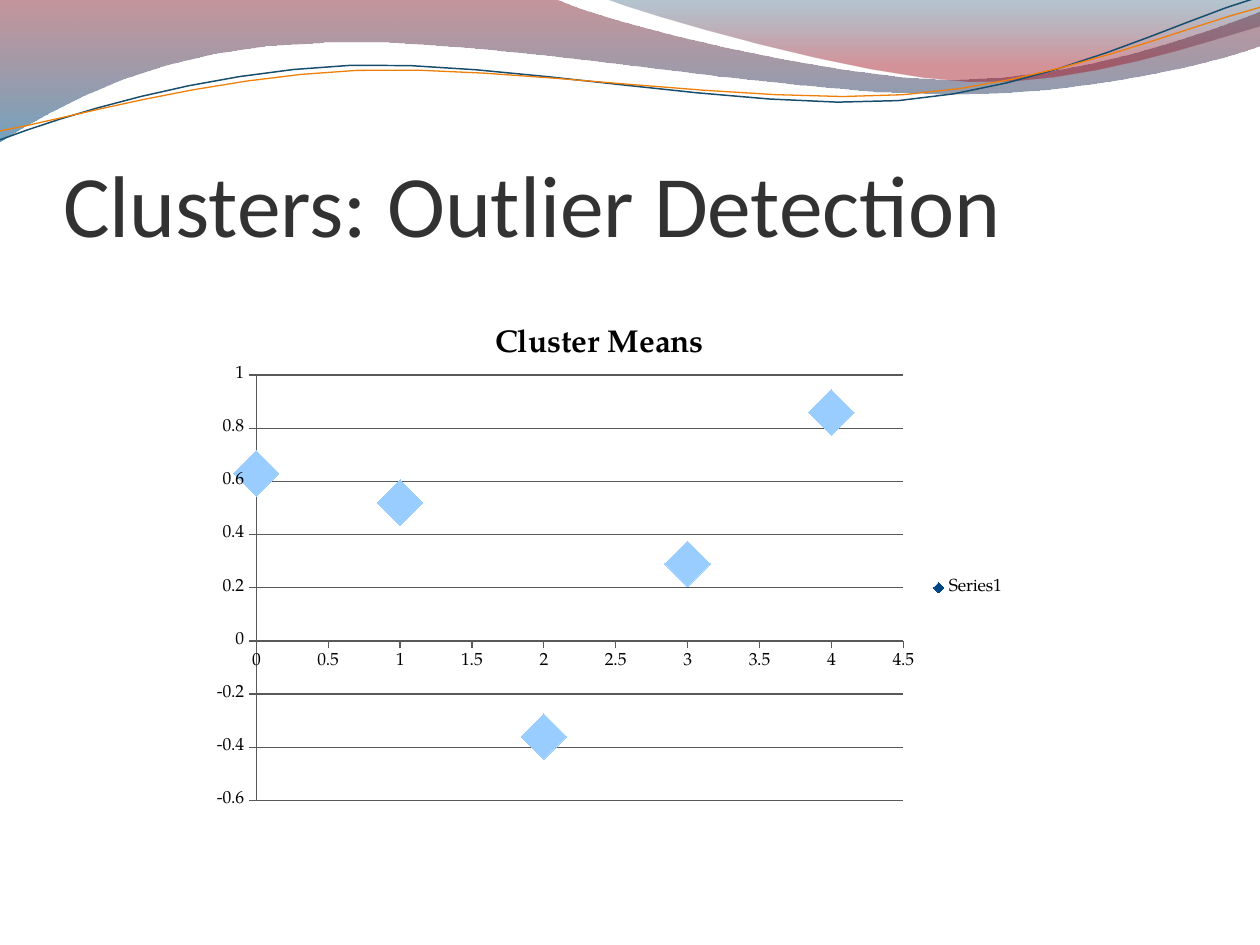
import pptx
import pptx.chart.data
import pptx.dml.color
import pptx.enum.chart
import pptx.enum.text
import pptx.oxml
import pptx.oxml.ns
import pptx.util

Cm = pptx.util.Cm
Pt = pptx.util.Pt
RGBColor = pptx.dml.color.RGBColor

TITLE_GREY = RGBColor(0x32, 0x32, 0x32)
BLACK = RGBColor(0, 0, 0)
AXIS_GREY = RGBColor(0x59, 0x59, 0x59)
MARKER_BLUE = RGBColor(0x99, 0xCC, 0xFF)
SERIES_BLUE = RGBColor(0x00, 0x45, 0x86)
WINE = RGBColor(0x7E, 0x16, 0x21)
OCEAN = RGBColor(0x00, 0x56, 0x89)
NAVY = RGBColor(0x09, 0x44, 0x67)
CRIMSON = RGBColor(0xA1, 0x0F, 0x1F)
LINE_BLUE = RGBColor(0x18, 0x4E, 0x6D)
LINE_ORANGE = RGBColor(0xF0, 0x7F, 0x09)

HEAD_FONT = "Calibri"
BODY_FONT = "TeX Gyre Pagella"
CURVE_STEPS = 8

LEFT_WAVE = [
    (0, 0), (11.18, -0.03),
    (12.09, 0.43, 16.87, 1.6, 19.25, 1.6),
    (21.67, 1.6, 24.33, 0.66, 25.4, 0.23),
    (25.43, 0.91),
    (24.97, 1.12, 22.1, 1.93, 18.95, 1.9),
    (15.8, 1.9, 9.7, 0.71, 6.53, 0.86),
    (3.28, 0.91, 1.17, 2.11, -0.03, 2.87),
]
RIGHT_WAVE = [
    (12.17, -0.03),
    (12.93, 0.28, 17.32, 1.57, 19.53, 1.65),
    (21.74, 1.75, 24.41, 0.81, 25.4, 0.53),
    (25.4, 0),
]
BLUE_CURVE = [
    (0, 2.82),
    (1.22, 2.36, 4.01, 1.45, 7.04, 1.32),
    (10.03, 1.19, 15.06, 2.26, 18.11, 2.03),
    (21.16, 1.8, 23.83, 0.38, 25.35, -0.05),
]
ORANGE_CURVE = [
    (0, 2.64),
    (1.19, 2.44, 4.17, 1.55, 7.19, 1.42),
    (10.24, 1.3, 15.16, 2.13, 18.21, 1.91),
    (21.23, 1.7, 23.9, 0.53, 25.4, 0.15),
]


def trace(path):
    points = [path[0]]
    for seg in path[1:]:
        if len(seg) == 2:
            points.append(seg)
            continue
        x0, y0 = points[-1]
        x1, y1, x2, y2, x3, y3 = seg
        for i in range(1, CURVE_STEPS + 1):
            t = i / CURVE_STEPS
            a, b, c, d = (1 - t) ** 3, 3 * t * (1 - t) ** 2, 3 * t * t * (1 - t), t ** 3
            points.append((a * x0 + b * x1 + c * x2 + d * x3,
                           a * y0 + b * y1 + c * y2 + d * y3))
    return points


def add_outline(s, left, top, path, close):
    points = [(Cm(left + x), Cm(top + y)) for x, y in trace(path)]
    builder = s.shapes.build_freeform(*points[0])
    builder.add_line_segments(points[1:], close=close)
    sp = builder.convert_to_shape()
    sp.shadow.inherit = False
    return sp


def add_wave(s, left, top, path, stops):
    sp = add_outline(s, left, top, path, True)
    sp.line.fill.background()
    sp.fill.gradient()
    sp.fill.gradient_angle = 270
    for stop, (position, color, opacity) in zip(sp.fill.gradient_stops, stops):
        stop.position = position
        stop.color.rgb = color
    colors = sp.fill._xPr.iter(pptx.oxml.ns.qn("a:srgbClr"))
    for clr, (position, color, opacity) in zip(colors, stops):
        alpha = pptx.oxml.parse_xml(
            f'<a:alpha {pptx.oxml.ns.nsdecls("a")} val="{opacity * 1000}"/>')
        clr.append(alpha)


def add_curve(s, left, top, path, color, width):
    sp = add_outline(s, left, top, path, False)
    sp.fill.background()
    sp.line.color.rgb = color
    sp.line.width = Pt(width)


def add_header_waves(s, left, top):
    add_wave(s, left, top, LEFT_WAVE, [(0, WINE, 45), (1, OCEAN, 55)])
    add_wave(s, left, top, RIGHT_WAVE, [(0, NAVY, 30), (0.8, CRIMSON, 45)])
    add_curve(s, left, top, BLUE_CURVE, LINE_BLUE, 0.85)
    add_curve(s, left, top, ORANGE_CURVE, LINE_ORANGE, 0.75)


def set_title(s, left, top, width, height):
    sp = s.shapes.title
    sp.left, sp.top, sp.width, sp.height = Cm(left), Cm(top), Cm(width), Cm(height)
    tf = sp.text_frame
    tf.text = "Clusters: Outlier Detection"
    tf.margin_left = tf.margin_right = tf.margin_bottom = 0
    tf.margin_top = Cm(0.13)
    tf.vertical_anchor = pptx.enum.text.MSO_ANCHOR.BOTTOM
    tf.auto_size = pptx.enum.text.MSO_AUTO_SIZE.NONE
    p = tf.paragraphs[0]
    p.alignment = pptx.enum.text.PP_ALIGN.LEFT
    p.font.name, p.font.size, p.font.color.rgb = HEAD_FONT, Pt(50), TITLE_GREY


def format_axis(axis):
    axis.major_tick_mark = pptx.enum.chart.XL_TICK_MARK.OUTSIDE
    axis.minor_tick_mark = pptx.enum.chart.XL_TICK_MARK.NONE
    axis.tick_labels.number_format = "General"
    axis.tick_labels.number_format_is_linked = False
    axis.format.line.color.rgb = AXIS_GREY
    axis.format.line.width = Pt(0.75)


def format_marker(marker, color, size):
    marker.style = pptx.enum.chart.XL_MARKER_STYLE.DIAMOND
    marker.size = size
    marker.format.fill.solid()
    marker.format.fill.fore_color.rgb = color
    marker.format.line.fill.background()


def set_plot_box(chart, x, y, w, h):
    plot_area = chart._chartSpace.chart.plotArea
    for old in plot_area.findall(pptx.oxml.ns.qn("c:layout")):
        plot_area.remove(old)
    plot_area.insert(0, pptx.oxml.parse_xml(
        f'<c:layout {pptx.oxml.ns.nsdecls("c")}><c:manualLayout>'
        '<c:layoutTarget val="inner"/><c:xMode val="edge"/><c:yMode val="edge"/>'
        f'<c:x val="{x}"/><c:y val="{y}"/><c:w val="{w}"/><c:h val="{h}"/>'
        '</c:manualLayout></c:layout>'))


def add_cluster_chart(s, left, top, width, height):
    data = pptx.chart.data.XyChartData()
    means = data.add_series("Series1")
    for x, y in enumerate([0.63, 0.52, -0.36, 0.29, 0.86]):
        means.add_data_point(x, y)
    chart = s.shapes.add_chart(
        pptx.enum.chart.XL_CHART_TYPE.XY_SCATTER,
        Cm(left), Cm(top), Cm(width), Cm(height), data).chart
    chart.font.name, chart.font.size, chart.font.color.rgb = BODY_FONT, Pt(10), BLACK
    chart.has_title = False
    chart.has_legend = True
    chart.legend.position = pptx.enum.chart.XL_LEGEND_POSITION.RIGHT
    chart.legend.include_in_layout = False
    chart.plots[0].vary_by_categories = False

    format_axis(chart.category_axis)
    format_axis(chart.value_axis)
    chart.category_axis.has_major_gridlines = False
    grid = chart.value_axis.major_gridlines.format.line
    grid.color.rgb, grid.width = AXIS_GREY, Pt(0.75)

    series = chart.plots[0].series[0]
    series.format.line.fill.background()
    format_marker(series.marker, SERIES_BLUE, 7)
    for i in range(len(list(series.values))):
        format_marker(series.points[i].marker, MARKER_BLUE, 26)
    set_plot_box(chart, 0.07, 0.04, 0.79, 0.92)


def add_chart_heading(s, left, top, width, height):
    tf = s.shapes.add_textbox(Cm(left), Cm(top), Cm(width), Cm(height)).text_frame
    tf.word_wrap = True
    tf.text = "Cluster Means"
    font = tf.paragraphs[0].font
    font.name, font.size, font.bold, font.color.rgb = BODY_FONT, Pt(18), True, BLACK


def main():
    prs = pptx.Presentation()
    prs.slide_width, prs.slide_height = Cm(25.4), Cm(19.05)
    s = prs.slides.add_slide(prs.slide_layouts[5])
    add_header_waves(s, 0, 0)
    set_title(s, 1.27, 1.96, 22.86, 3.18)
    add_cluster_chart(s, 4.01, 7.19, 16.51, 9.32)
    add_chart_heading(s, 9.73, 6.35, 5.28, 1.07)
    prs.save("out.pptx")


if __name__ == "__main__":
    main()
